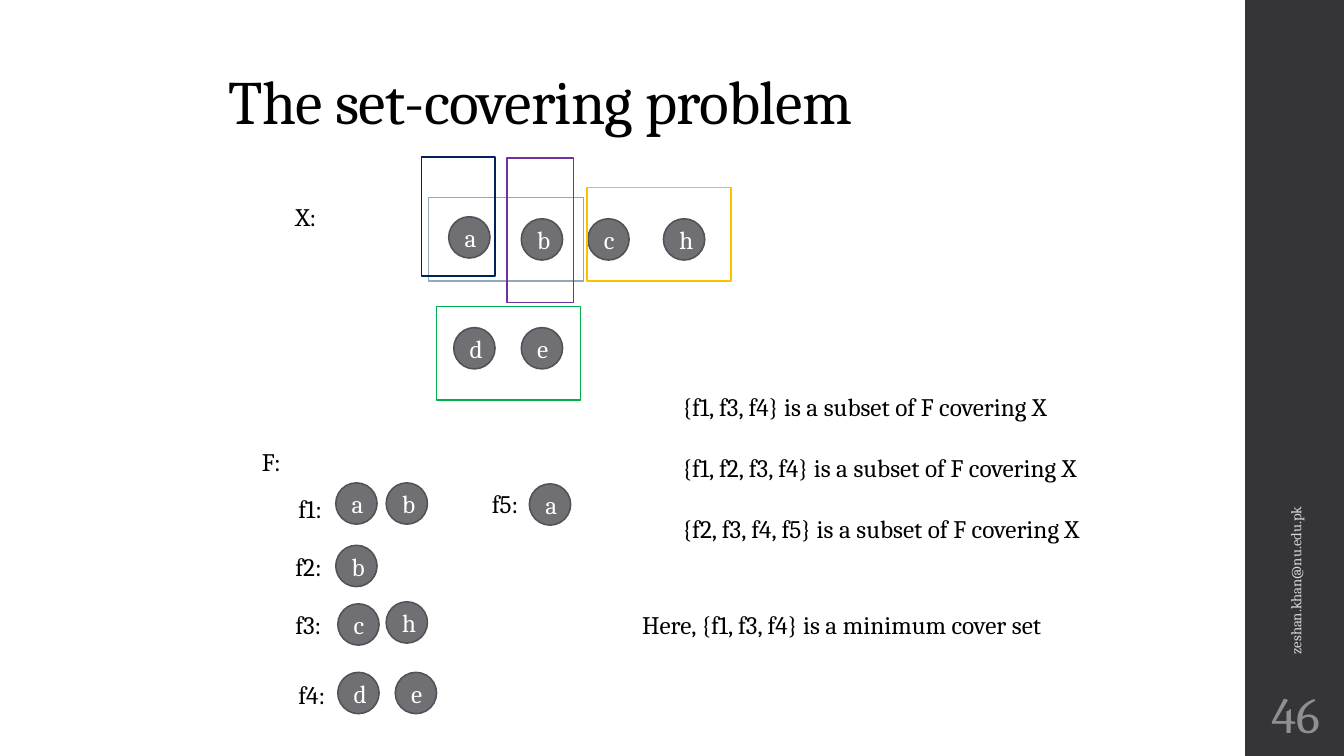
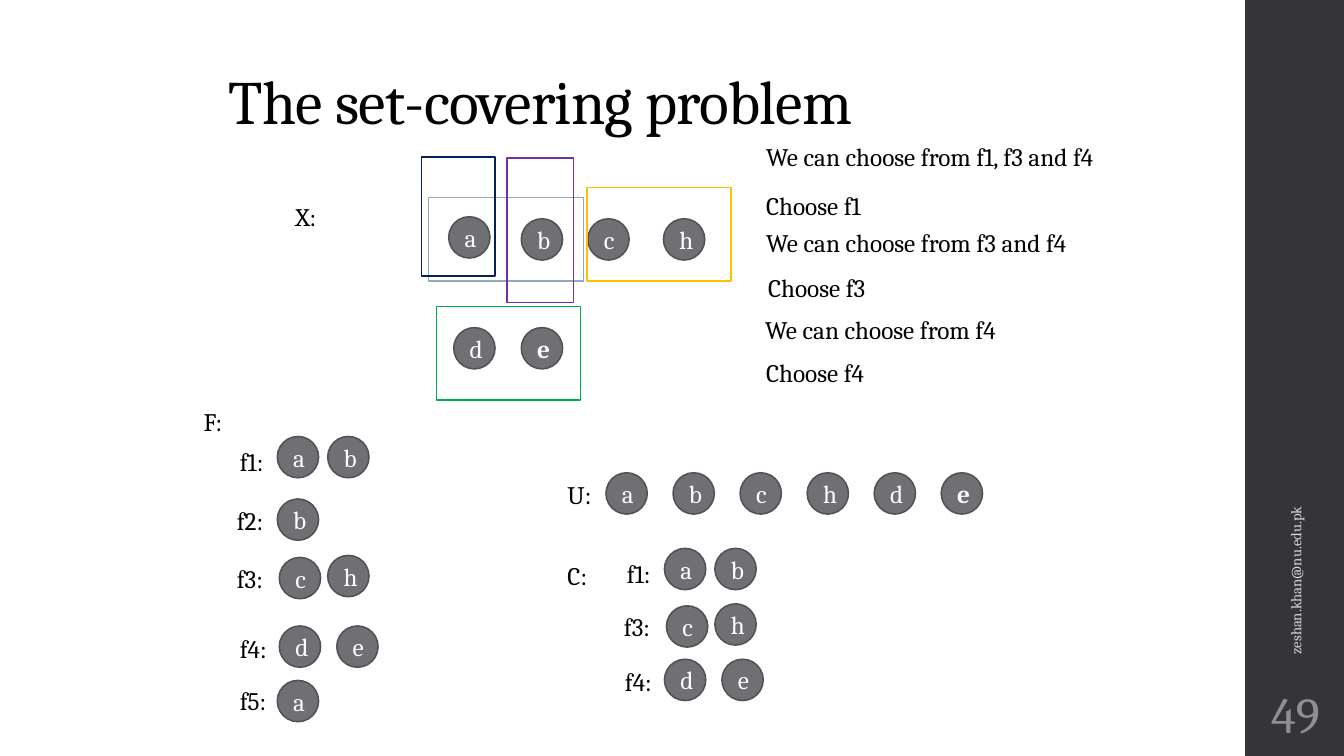
from lxml import etree
from pptx import Presentation
from pptx.dml.color import RGBColor
from pptx.enum.shapes import MSO_SHAPE
from pptx.enum.text import MSO_ANCHOR, MSO_AUTO_SIZE, PP_ALIGN
from pptx.util import Inches, Pt

OVAL, RECTANGLE = MSO_SHAPE.OVAL, MSO_SHAPE.RECTANGLE
LEFT, CENTER = PP_ALIGN.LEFT, PP_ALIGN.CENTER
TOP, MIDDLE, BOTTOM = MSO_ANCHOR.TOP, MSO_ANCHOR.MIDDLE, MSO_ANCHOR.BOTTOM
GROW, FIXED = MSO_AUTO_SIZE.SHAPE_TO_FIT_TEXT, MSO_AUTO_SIZE.NONE

BLACK = RGBColor(0x00, 0x00, 0x00)
WHITE = RGBColor(0xFF, 0xFF, 0xFF)
CHARCOAL = RGBColor(0x35, 0x35, 0x37)
GRAY = RGBColor(0x6F, 0x6F, 0x74)
DARK_GRAY = RGBColor(0x52, 0x52, 0x56)
PALE_GRAY = RGBColor(0xD9, 0xD9, 0xDB)
MID_GRAY = RGBColor(0x8E, 0x8E, 0x94)
STEEL = RGBColor(0x92, 0xA9, 0xB9)
PURPLE = RGBColor(0x70, 0x30, 0xA0)
AMBER = RGBColor(0xFF, 0xC0, 0x00)
GREEN = RGBColor(0x00, 0xB0, 0x50)
NAVY = RGBColor(0x00, 0x20, 0x60)

OUTLINE = Pt(1.1)
DIAMETER = 0.41
ROW_HEIGHT = 0.4
LABEL_WIDTH = 0.58

BODY = {"size": 18, "color": BLACK, "align": LEFT, "anchor": TOP, "auto_size": GROW}
ELEMENT = {"size": 18, "color": WHITE, "align": CENTER, "anchor": MIDDLE, "auto_size": FIXED}
TITLE = {"size": 44, "color": BLACK, "align": LEFT, "anchor": BOTTOM, "auto_size": FIXED}
EMAIL = {"size": 10.5, "color": PALE_GRAY, "align": LEFT, "anchor": MIDDLE, "auto_size": FIXED}
NUMBER = {"size": 36, "color": MID_GRAY, "align": CENTER, "anchor": MIDDLE, "auto_size": FIXED}

UNIVERSE = [("a", 4.45, 2.15), ("b", 5.17, 2.17), ("c", 5.83, 2.17),
            ("h", 6.58, 2.17), ("d", 4.5, 3.25), ("e", 5.17, 3.25)]
SUBSET_FRAMES = [
    (STEEL, 4.25, 1.96, 1.54, 0.83),
    (PURPLE, 5.03, 1.57, 0.66, 1.43),
    (AMBER, 5.82, 1.86, 1.43, 0.93),
    (GREEN, 4.33, 3.04, 1.43, 0.93),
    (NAVY, 4.18, 1.56, 0.73, 1.18),
]
SUBSETS = {
    "f1": ((-0.47, 0.05), [("a", 0, 0), ("b", 0.5, 0)]),
    "f2": ((-0.5, 0.01), [("b", 0, 0)]),
    "f3": ((-0.52, 0.01), [("c", 0, 0), ("h", 0.48, -0.02)]),
    "f4": ((-0.49, 0.02), [("d", 0, 0), ("e", 0.57, 0)]),
    "f5": ((-0.47, 0), [("a", 0, 0)]),
}
SLIDES = [
    {
        "number": "46",
        "bold": "",
        "labels": [("X:", 2.83, 1.95), ("F:", 2.5, 4.38)],
        "uncovered": [],
        "rows": [("f1", 3.33, 4.79), ("f2", 3.33, 5.41), ("f3", 3.35, 5.99),
                 ("f4", 3.35, 6.67), ("f5", 5.25, 4.8)],
        "statements": [
            ("{f1, f3, f4} is a subset of F covering X", 6.67, 3.83),
            ("{f1, f2, f3, f4} is a subset of F covering X", 6.67, 4.44),
            ("{f2, f3, f4, f5} is a subset of F covering X", 6.67, 5.04),
            ("Here, {f1, f3, f4} is a minimum cover set", 6.27, 6),
        ],
    },
    {
        "number": "49",
        "bold": "e",
        "labels": [("X:", 2.83, 1.95), ("F:", 1.92, 3.98), ("U:", 5.53, 4.71), ("C:", 5.53, 5.51)],
        "uncovered": [(letter, 6.01 + 0.665 * i, 4.69) for i, letter in enumerate("abchde")],
        "rows": [("f1", 2.75, 4.33), ("f2", 2.75, 4.95), ("f3", 2.77, 5.53),
                 ("f4", 2.77, 6.21), ("f5", 2.75, 6.75),
                 ("f1", 6.59, 5.44), ("f3", 6.61, 6.01), ("f4", 6.59, 6.54)],
        "statements": [
            ("We can choose from f1, f3 and f4", 7.5, 1.35),
            ("Choose f1", 7.5, 1.84),
            ("We can choose from f3 and f4", 7.5, 2.21),
            ("Choose f3", 7.52, 2.65),
            ("We can choose from f4", 7.49, 3.07),
            ("Choose f4", 7.5, 3.5),
        ],
    },
]


def write(shape, text, style, bold=False):
    frame = shape.text_frame
    frame.word_wrap = True
    frame.auto_size = style["auto_size"]
    frame.vertical_anchor = style["anchor"]
    paragraph = frame.paragraphs[0]
    paragraph.alignment = style["align"]
    run = paragraph.add_run()
    run.text = text
    font_values = {"name": "Cambria", "size": Pt(style["size"]), "bold": bold}
    for attribute, value in font_values.items():
        setattr(run.font, attribute, value)
    run.font.color.rgb = style["color"]
    return run


def add_box(slide, left, top, width, height, preset=None):
    box = [Inches(length) for length in (left, top, width, height)]
    if preset is None:
        return slide.shapes.add_textbox(*box)
    shape = slide.shapes.add_shape(preset, *box)
    shape.shadow.inherit = False
    shape.line.width = OUTLINE
    return shape


prs = Presentation()
prs.slide_width, prs.slide_height = Inches(13.33), Inches(7.5)
layout = prs.slide_layouts[5]

for content in SLIDES:
    slide = prs.slides.add_slide(layout)
    if content is SLIDES[0]:
        band = add_box(slide, 12.35, 0, 0.98, 7.5, RECTANGLE)
        band.fill.solid()
        band.fill.fore_color.rgb = CHARCOAL
        band.line.fill.background()
        prs.slide_master.shapes.element.append(band.element)

    title = slide.shapes.title
    title_place = {"left": 2.17, "top": 0.17, "width": 9, "height": 1.25}
    for attribute, length in title_place.items():
        setattr(title, attribute, Inches(length))
    heading = write(title, "The set-covering problem", TITLE)
    heading.font.element.set("spc", "-50") if hasattr(heading.font, "element") else heading._r.get_or_add_rPr().set("spc", "-50")
    title.text_frame.paragraphs[0].line_spacing = 0.9

    email = add_box(slide, 10.89, 4.43, 3.92, ROW_HEIGHT)
    email.rotation = 270
    write(email, "zeshan.khan@nu.edu.pk", EMAIL)

    page = add_box(slide, 12.35, 6.75, 1, 0.65)
    for side in ("left", "top", "right", "bottom"):
        setattr(page.text_frame, f"margin_{side}", Inches(0.05))
    write(page, content["number"], NUMBER)

    labels = list(content["labels"])
    members = []
    for subset, x, y in content["rows"]:
        (label_dx, label_dy), letters = SUBSETS[subset]
        labels.append((f"{subset}:", x + label_dx, y + label_dy))
        members += [(letter, x + dx, y + dy, False) for letter, dx, dy in letters]

    for letter, x, y in UNIVERSE + content["uncovered"]:
        members.append((letter, x, y, letter == content["bold"]))

    for letter, x, y, bold in members:
        element = add_box(slide, x, y, DIAMETER, DIAMETER, OVAL)
        element.fill.solid()
        element.fill.fore_color.rgb = GRAY
        element.line.color.rgb = DARK_GRAY
        write(element, letter, ELEMENT, bold)

    for color, *place in SUBSET_FRAMES:
        subset_frame = add_box(slide, *place, RECTANGLE)
        subset_frame.fill.background()
        subset_frame.line.color.rgb = color

    for label, x, y in labels:
        write(add_box(slide, x, y, LABEL_WIDTH, ROW_HEIGHT), label, BODY)

    for statement, x, y in content["statements"]:
        write(add_box(slide, x, y, 4.6, ROW_HEIGHT), statement, BODY)

prs.save("out.pptx")
